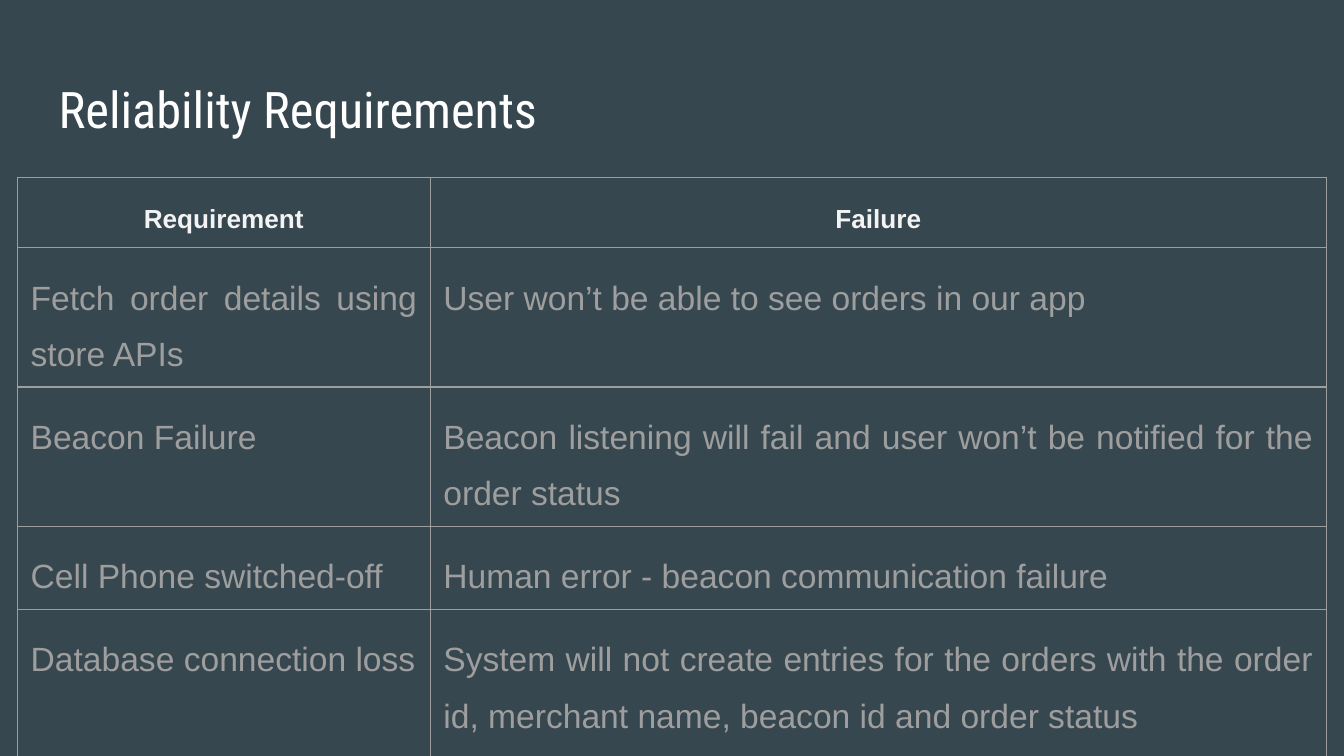
from lxml import etree
from pptx import Presentation
from pptx.dml.color import RGBColor
from pptx.enum import text
from pptx.oxml import ns
from pptx.util import Cm, Pt

SLATE = RGBColor(0x37, 0x47, 0x4F)
WHITE = RGBColor(0xFF, 0xFF, 0xFF)
PALE = RGBColor(0xF3, 0xF3, 0xF3)
GREY = RGBColor(0x9E, 0x9E, 0x9E)

TITLE = dict(name="Roboto Condensed", size=Pt(27), bold=False)
HEADER = dict(name="Arial", size=Pt(14), bold=True)
BODY = dict(name="Arial", size=Pt(18), bold=False)
INSETS = dict.fromkeys(
    ("margin_left", "margin_top", "margin_right", "margin_bottom"), Cm(0.25))

COLUMNS = (7.8, 16.94)
ROWS = (
    (1.12, "Requirement", "Failure"),
    (2.13, "Fetch order details using store APIs",
     "User won’t be able to see orders in our app"),
    (2.13, "Beacon Failure",
     "Beacon listening will fail and user won’t be notified for the order status"),
    (1.24, "Cell Phone switched-off",
     "Human error - beacon communication failure"),
    (3.38, "Database connection loss",
     "System will not create entries for the orders with the order id, "
     "merchant name, beacon id and order status"),
)


def apply(target, values):
    for name, value in values.items():
        setattr(target, name, value)


class Deck:
    def __init__(self, prs):
        self.s = prs.slides.add_slide(prs.slide_layouts[5])
        fill = self.s.background.fill
        fill.solid()
        fill.fore_color.rgb = SLATE

    def add_words(self, tf, words, style, color, align):
        p = tf.paragraphs[0]
        p.alignment = align
        r = p.add_run()
        r.text = words
        apply(r.font, style)
        r.font.color.rgb = color
        return p

    def title(self, words):
        sp = self.s.shapes.title
        apply(sp, dict(left=Cm(0.86), top=Cm(1.24), width=Cm(23.67), height=Cm(1.6)))
        tf = sp.text_frame
        apply(tf, INSETS)
        apply(tf, dict(word_wrap=True, auto_size=text.MSO_AUTO_SIZE.NONE,
                       vertical_anchor=text.MSO_ANCHOR.MIDDLE))
        self.add_words(tf, words, TITLE, WHITE, text.PP_ALIGN.LEFT)

    def border(self, cell):
        tc_pr = cell._tc.get_or_add_tcPr()
        for side in ("lnL", "lnR", "lnT", "lnB"):
            ln = etree.SubElement(tc_pr, ns.qn(f"a:{side}"), w=str(Pt(0.75)))
            fill = etree.SubElement(ln, ns.qn("a:solidFill"))
            etree.SubElement(fill, ns.qn("a:srgbClr"), val=str(GREY))

    def cell(self, cell, words, is_header):
        apply(cell, INSETS)
        cell.vertical_anchor = text.MSO_ANCHOR.TOP
        self.border(cell)
        cell.fill.background()
        if is_header:
            look = HEADER, PALE, text.PP_ALIGN.CENTER
        else:
            look = BODY, GREY, text.PP_ALIGN.JUSTIFY
        p = self.add_words(cell.text_frame, words, *look)
        apply(p, dict(line_spacing=1.5, space_after=Pt(12)))

    def table(self, columns, rows):
        height = sum(row[0] for row in rows)
        table = self.s.shapes.add_table(
            len(rows), len(columns), Cm(0.33), Cm(3.35),
            Cm(sum(columns)), Cm(height)).table
        apply(table, dict(first_row=False, horz_banding=False))
        for column, width in zip(table.columns, columns):
            column.width = Cm(width)
        for i, (row_height, *words) in enumerate(rows):
            table.rows[i].height = Cm(row_height)
            for j, phrase in enumerate(words):
                self.cell(table.cell(i, j), phrase, i == 0)


def main():
    prs = Presentation()
    prs.slide_width, prs.slide_height = Cm(25.4), Cm(14.29)
    deck = Deck(prs)
    deck.title("Reliability Requirements")
    deck.table(COLUMNS, ROWS)
    prs.save("out.pptx")


if __name__ == "__main__":
    main()
